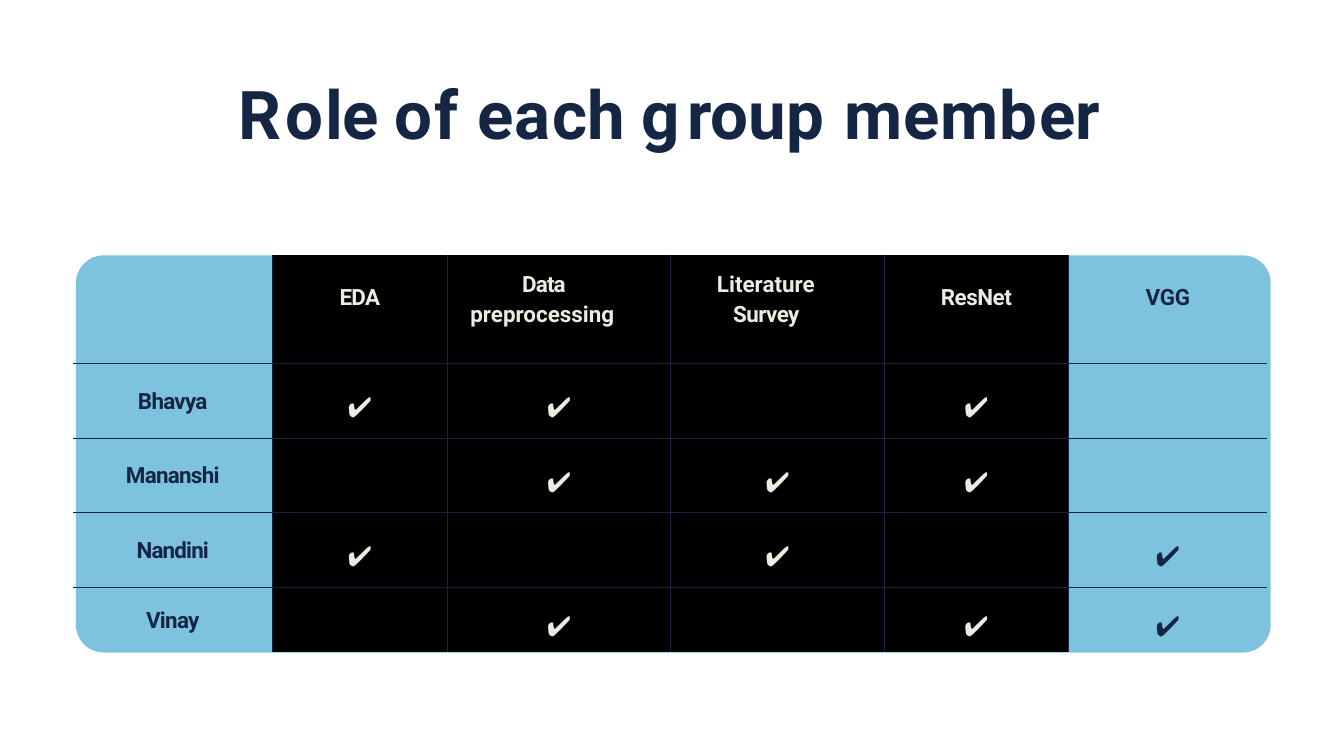
from lxml.etree import SubElement
from pptx import Presentation
from pptx.dml.color import RGBColor
from pptx.enum.shapes import MSO_SHAPE as Preset
from pptx.enum.text import PP_ALIGN as Align
from pptx.oxml.ns import qn
from pptx.util import Inches, Pt

COLORS = {"navy": "152544", "sky": "7DC2DE", "cream": "EEECE1", "black": "000000"}
TEXT_FONT, MARK_FONT = "Roboto", "Noto Sans CJK JP"
MARK = "\u2714"

# Title pieces with their letter spacing in points
TITLE = [("R", 4.1), ("o", 1.9), ("l", -0.9), ("e ", -1.1), ("o", 1.9), ("f ", 1.3),
         ("e", -1.1), ("a", 2.2), ("c", -2.1), ("h ", 0.1), ("g", 7.6), ("ro", -0.1),
         ("u", 0.3), ("p ", 1.9), ("m", 1.1), ("e", -1.1), ("m", 1.1), ("b", 2),
         ("e", -1.1), ("r", -2.2)]

# Grid of the table, in inches
TABLE_LEFT, TABLE_TOP = 1.09, 3.8
COLUMNS = [2.96, 2.61, 3.32, 3.18, 2.74, 2.96]
ROWS = [1.61, 1.11, 1.11, 1.11, 0.96]

# Header lines with spacing; two-line headers add left margin and first-line indent
HEADERS = [([("EDA", -0.7)], None),
           ([("Data ", -0.9), ("preprocessing", 0)], (0.34, 0.77)),
           ([("Literature ", 0), ("Survey", -0.6)], (0.93, -0.24)),
           ([("ResNet", -0.5)], None),
           ([("VGG", -0.4)], None)]

# Members, letter spacing, and the task columns they worked on
MEMBERS = [("Bhavya", -0.8, {1, 2, 4}), ("Mananshi", -0.8, {2, 3, 4}),
           ("Nandini", -0.9, {1, 3, 5}), ("Vinay", -0.8, {2, 4, 5})]


def rgb(name):
    return RGBColor.from_string(COLORS[name])


def add_span(para, text, size, color, spacing=0, font=TEXT_FONT, bold=True):
    span = para.add_run()
    span.text = text
    span.font.size, span.font.name, span.font.bold = Pt(size), font, bold
    span.font.color.rgb = rgb(color)
    span.font._element.set("spc", str(round(spacing * 100)))


def set_indent(para, left, first):
    properties = para._p.get_or_add_pPr()
    properties.set("marL", str(Inches(left)))
    properties.set("indent", str(Inches(first)))


def add_title(page):
    box = page.shapes.add_textbox(Inches(3.55), Inches(1.07), Inches(12.91), Inches(1.23))
    frame = box.text_frame
    frame.word_wrap = True
    frame.margin_left = frame.margin_right = frame.margin_bottom = 0
    frame.margin_top = Inches(0.01)
    para = frame.paragraphs[0]
    para.space_before = Pt(1)
    for text, spacing in TITLE:
        add_span(para, text, 72, "navy", spacing)


def add_panel(page):
    panel = page.shapes.add_shape(Preset.ROUNDED_RECTANGLE, Inches(1.13), Inches(TABLE_TOP),
                                  Inches(17.78), Inches(5.91))
    panel.adjustments[0] = 0.07
    panel.shadow.inherit = False
    panel.fill.solid()
    panel.fill.fore_color.rgb = rgb("sky")
    panel.line.fill.background()


def is_dark(column):
    return 0 < column < len(COLUMNS) - 1


def style_cell(cell, row, column):
    """Draw inner grid lines only, then fill the middle columns."""
    inner = {"lnL": column > 0, "lnR": column < len(COLUMNS) - 1,
             "lnT": row > 0, "lnB": row < len(ROWS) - 1}
    properties = cell._tc.get_or_add_tcPr()
    for tag, visible in inner.items():
        line = SubElement(properties, qn(f"a:{tag}"), w=str(Pt(1.5)))
        if visible:
            fill = SubElement(line, qn("a:solidFill"))
            SubElement(fill, qn("a:srgbClr"), val=COLORS["navy"])
        else:
            SubElement(line, qn("a:noFill"))
    if is_dark(column):
        cell.fill.solid()
        cell.fill.fore_color.rgb = rgb("black")
    else:
        cell.fill.background()


def start_cell(cell, top):
    cell.margin_left = cell.margin_right = cell.margin_bottom = 0
    cell.margin_top = Inches(top)
    para = cell.text_frame.paragraphs[0]
    para.alignment = Align.CENTER
    return para


def fill_header(cell, lines, indent, color):
    para = start_cell(cell, 0.18 if indent else 0.43)
    if indent:
        para.alignment = Align.LEFT
        para.line_spacing = 1.15
        set_indent(para, *indent)
    for number, (text, spacing) in enumerate(lines):
        if number:
            para.add_line_break()
        add_span(para, text, 24, color, spacing)


def add_roles(page):
    frame = page.shapes.add_table(len(ROWS), len(COLUMNS), Inches(TABLE_LEFT), Inches(TABLE_TOP),
                                  Inches(sum(COLUMNS)), Inches(sum(ROWS)))
    table = frame.table
    table.first_row = table.horz_banding = False
    for column, width in enumerate(COLUMNS):
        table.columns[column].width = Inches(width)
    for row, height in enumerate(ROWS):
        table.rows[row].height = Inches(height)
        for column in range(len(COLUMNS)):
            style_cell(table.cell(row, column), row, column)

    # Header row
    for column, (lines, indent) in enumerate(HEADERS, 1):
        fill_header(table.cell(0, column), lines, indent, "cream" if is_dark(column) else "navy")

    # Member rows
    for row, (name, spacing, tasks) in enumerate(MEMBERS, 1):
        last = row == len(MEMBERS)
        para = start_cell(table.cell(row, 0), 0.31 if last else 0.37)
        add_span(para, name, 24, "navy", spacing)
        for column in sorted(tasks):
            para = start_cell(table.cell(row, column), 0.25 if last else 0.32)
            add_span(para, MARK, 30, "cream" if is_dark(column) else "navy",
                     font=MARK_FONT, bold=False)


def main():
    deck = Presentation()
    deck.slide_width, deck.slide_height = Inches(20), Inches(11.25)
    page = deck.slides.add_slide(deck.slide_layouts[6])
    add_panel(page)
    add_title(page)
    add_roles(page)
    deck.save("out.pptx")


main()
